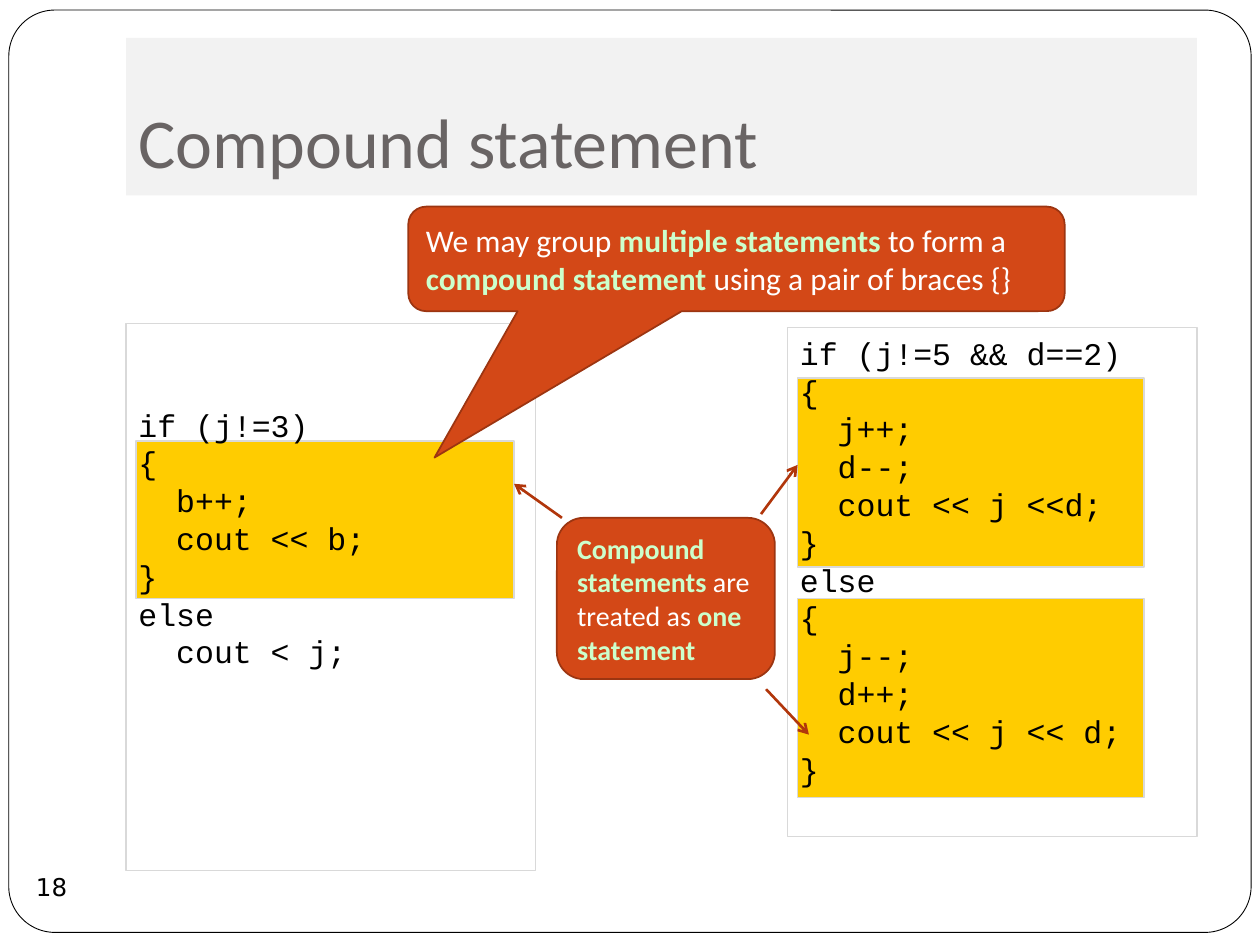
from dataclasses import dataclass

from lxml.etree import SubElement
from pptx import Presentation
from pptx.dml.color import RGBColor
from pptx.enum.shapes import MSO_CONNECTOR as Connector, MSO_SHAPE as Shape
from pptx.enum.text import MSO_ANCHOR as Anchor, PP_ALIGN as Align
from pptx.oxml.ns import qn
from pptx.util import Inches, Pt

COLUMNS, ROWS = 10, 7.5


@dataclass(frozen=True)
class Theme:
    paper: str = "FFFFFF"
    ink: str = "000000"
    band: str = "F2F2F2"
    title: str = "696464"
    highlight: str = "FFCC00"
    border: str = "D9D9D9"
    note: str = "D34817"
    note_border: str = "9C3511"
    emphasis: str = "CCFFCC"
    arrow: str = "B1360B"
    text_font: str = "Calibri"
    code_font: str = "Courier New"
    number_font: str = "DejaVu Sans"
    title_size: int = 40
    body_size: int = 18
    note_size: int = 16
    number_size: int = 14
    code_pitch: float = 21.6


def color(value):
    return RGBColor.from_string(value)


def write(shape, lines, *, font, size, ink, emphasis=None, align=Align.LEFT,
          anchor=Anchor.TOP, insets=(0.1, 0.05, 0.1, 0.05), wrap=True, pitch=None):
    frame = shape.text_frame
    frame.word_wrap = wrap
    frame.vertical_anchor = anchor
    (frame.margin_left, frame.margin_top,
     frame.margin_right, frame.margin_bottom) = map(Inches, insets)
    for index, runs in enumerate(lines):
        paragraph = frame.paragraphs[0] if index == 0 else frame.add_paragraph()
        paragraph.alignment = align
        if pitch:
            paragraph.line_spacing = Pt(pitch)
        for text, strong in runs:
            run = paragraph.add_run()
            run.text = text
            run.font.name, run.font.size, run.font.bold = font, Pt(size), strong
            run.font.color.rgb = color(emphasis if strong else ink)


def plain(*lines):
    return [[(line, False)] for line in lines]


class SlideBuilder:
    def __init__(self, presentation, theme):
        self.theme = theme
        self.slide = presentation.slides.add_slide(presentation.slide_layouts[5])
        self.cell_width = presentation.slide_width / COLUMNS
        self.cell_height = presentation.slide_height / ROWS

    def place(self, column, row, width=0, height=0):
        return (round(column * self.cell_width), round(row * self.cell_height),
                round(width * self.cell_width), round(height * self.cell_height))

    def box(self, kind, area, fill=None, line=None, weight=1, adjustments=()):
        shape = self.slide.shapes.add_shape(kind, *self.place(*area))
        shape.shadow.inherit = False
        for index, value in enumerate(adjustments):
            shape.adjustments[index] = value
        if fill:
            shape.fill.solid()
            shape.fill.fore_color.rgb = color(fill)
        else:
            shape.fill.background()
        if line:
            shape.line.color.rgb = color(line)
            shape.line.width = Pt(weight)
        else:
            shape.line.fill.background()
        return shape

    def frame(self, area):
        self.box(Shape.ROUNDED_RECTANGLE, area, self.theme.paper, self.theme.ink, 0.5, [0.05])

    def title(self, text, area):
        title = self.slide.shapes.title
        title.element.getparent().append(title.element)
        title.left, title.top, title.width, title.height = self.place(*area)
        title.fill.solid()
        title.fill.fore_color.rgb = color(self.theme.band)
        write(title, plain(text), font=self.theme.text_font, size=self.theme.title_size,
              ink=self.theme.title, anchor=Anchor.BOTTOM, insets=(0.1, 0.05, 0.1, 0.1))

    def number(self, text, area):
        write(self.box(Shape.OVAL, area), plain(text), font=self.theme.number_font,
              size=self.theme.number_size, ink=self.theme.ink, align=Align.CENTER,
              anchor=Anchor.MIDDLE, insets=(0, 0, 0, 0), wrap=False)

    def highlight(self, area):
        self.box(Shape.FLOWCHART_PROCESS, area, self.theme.highlight, self.theme.border)

    def code(self, source, area, top=0.05):
        shape = self.box(Shape.RECTANGLE, area, line=self.theme.border, weight=0.75)
        write(shape, plain(*source.strip().splitlines()), font=self.theme.code_font,
              size=self.theme.body_size, ink=self.theme.ink,
              insets=(0.1, top, 0.1, 0.05), pitch=self.theme.code_pitch)

    def note(self, kind, runs, area, size, adjustments=()):
        shape = self.box(kind, area, self.theme.note, self.theme.note_border,
                         adjustments=adjustments)
        write(shape, [runs], font=self.theme.text_font, size=size, ink=self.theme.paper,
              emphasis=self.theme.emphasis, anchor=Anchor.MIDDLE)

    def arrow(self, start, end):
        connector = self.slide.shapes.add_connector(
            Connector.STRAIGHT, *self.place(*start)[:2], *self.place(*end)[:2])
        connector.line.color.rgb = color(self.theme.arrow)
        connector.line.width = Pt(1.5)
        SubElement(connector.line._get_or_add_ln(), qn("a:tailEnd"), type="arrow")
        SubElement(connector.element.spPr, qn("a:effectLst"))


SINGLE_BRANCH = """
if (j!=3)
{
  b++;
  cout << b;
}
else
  cout < j;
"""

BOTH_BRANCHES = """
if (j!=5 && d==2)
{
  j++;
  d--;
  cout << j <<d;
}
else
{
  j--;
  d++;
  cout << j << d;
}
"""


def main():
    presentation = Presentation()
    presentation.slide_width, presentation.slide_height = Inches(COLUMNS), Inches(ROWS)
    theme = Theme()
    builder = SlideBuilder(presentation, theme)

    builder.frame((0.07, 0.08, 9.86, 7.32))
    for area in ((6.33, 4.75, 2.75, 1.58), (6.33, 3, 2.75, 1.5), (1.08, 3.5, 3, 1.25)):
        builder.highlight(area)
    builder.title("Compound statement", (1, 0.3, 8.5, 1.25))
    builder.number("18", (0.16, 6.79, 0.5, 0.5))
    builder.code(SINGLE_BRANCH, (1, 2.57, 3.25, 4.34), top=0.65)
    builder.code(BOTH_BRANCHES, (6.25, 2.6, 3.25, 4.04))

    builder.note(Shape.ROUNDED_RECTANGULAR_CALLOUT, [
        ("We may group ", False), ("multiple statements", True), (" to form a ", False),
        ("compound statement", True), (" using a pair of braces {}", False),
    ], (3.24, 1.64, 5.21, 0.83), theme.body_size, (-0.46, 1.9, 0.17))
    builder.note(Shape.FLOWCHART_ALTERNATE_PROCESS, [
        ("Compound statements ", True), ("are treated as ", False), ("one statement", True),
    ], (4.42, 4.11, 1.73, 1.28), theme.note_size)

    for start, end in (((6.08, 5.47), (6.42, 5.83)), ((6.04, 4.08), (6.33, 3.69)),
                       ((4.46, 4.11), (4.08, 3.84))):
        builder.arrow(start, end)
    presentation.save("out.pptx")


if __name__ == "__main__":
    main()
